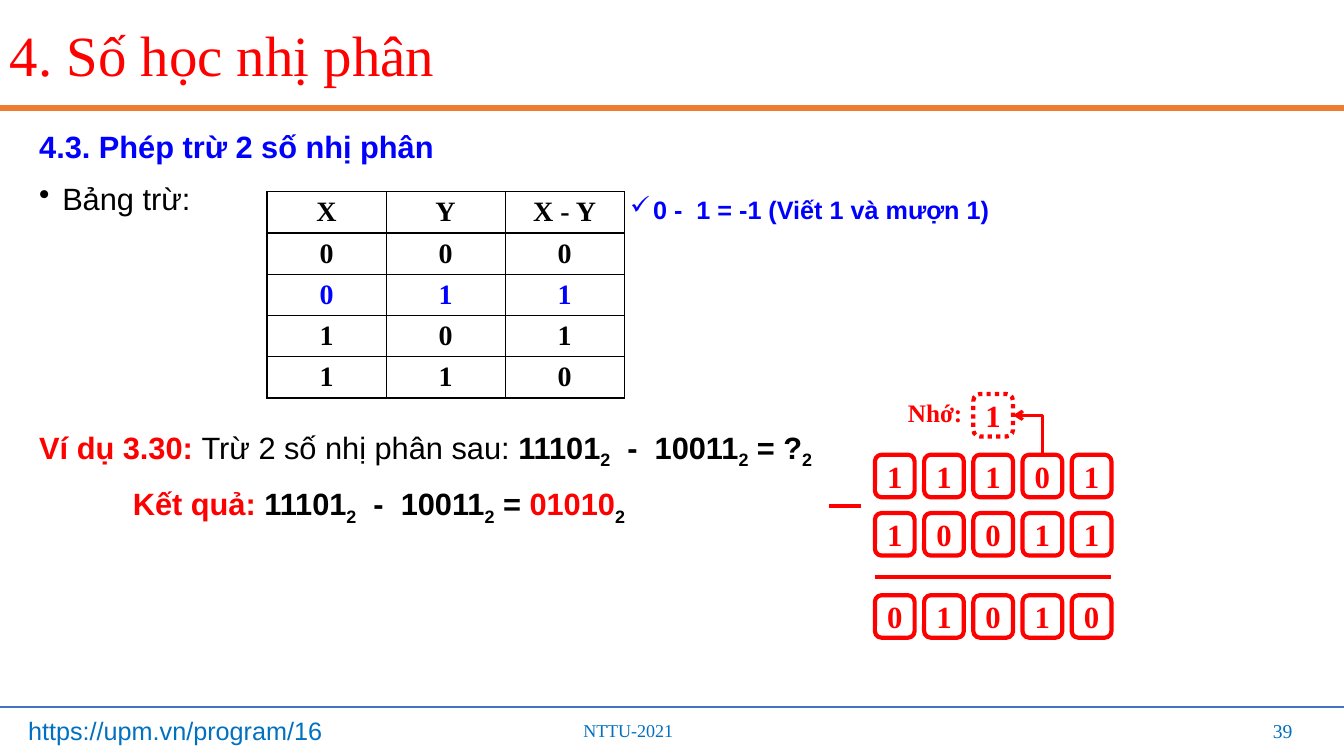
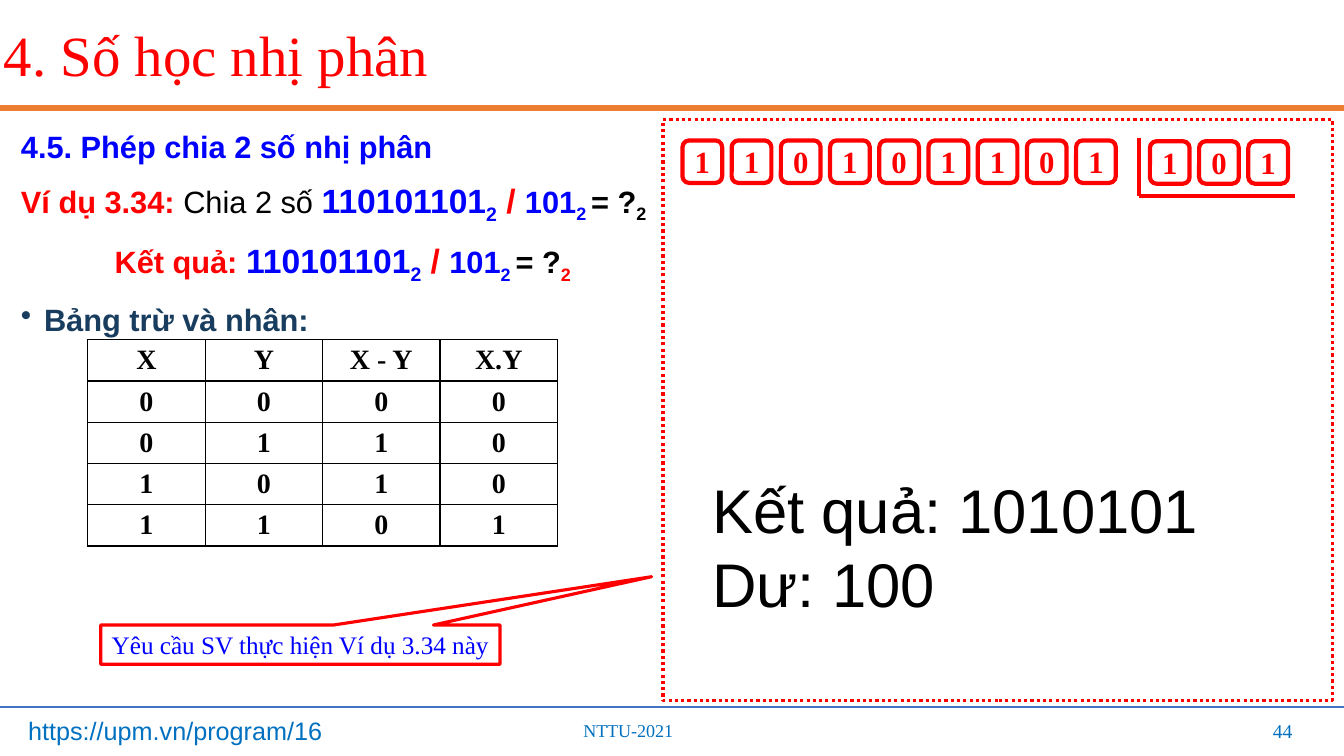
from dataclasses import dataclass

import pptx
import pptx.dml.color
import pptx.enum.dml
import pptx.enum.shapes
import pptx.enum.text
import pptx.oxml
import pptx.oxml.ns
import pptx.util
from lxml import etree

Cm = pptx.util.Cm
Pt = pptx.util.Pt
qn = pptx.oxml.ns.qn
ALIGN = pptx.enum.text.PP_ALIGN
ANCHOR = pptx.enum.text.MSO_ANCHOR
SHAPE = pptx.enum.shapes.MSO_SHAPE
CONNECTOR = pptx.enum.shapes.MSO_CONNECTOR
DOTTED = pptx.enum.dml.MSO_LINE.ROUND_DOT

RED, BLUE, BLACK = "FF0000", "0000FF", "000000"
NAVY, ORANGE, FOOTER_LINE, FOOTER_TEXT = "183D5E", "ED7D31", "4472C4", "0070C0"
SANS, SERIF = "Arial", "Times New Roman"
SLIDE_WIDTH, SLIDE_HEIGHT = 33.87, 19.05
DIGIT_WIDTH, DIGIT_HEIGHT, DIGIT_PITCH = 1.0, 1.07, 1.24
ROW_HEIGHT = 1.04


@dataclass
class Run:
    text: str
    color: str = BLACK
    size: float = 22
    bold: bool = True
    font: str = SANS
    subscript: bool = False


@dataclass
class Line:
    runs: list
    indent: float = 0
    bullet: str = ""
    align: ALIGN = ALIGN.LEFT


def rgb(color):
    return pptx.dml.color.RGBColor.from_string(color)


def lengths(*values):
    return [Cm(value) for value in values]


def sub(text, color=BLACK, size=22):
    return Run(text, color, size, subscript=True)


def fill_paragraph(paragraph, line):
    paragraph.alignment = line.align
    properties = paragraph._p.get_or_add_pPr()
    if line.indent:
        properties.set("marL", str(Cm(line.indent)))
    if line.bullet:
        properties.set("indent", str(-Cm(0.58)))
        etree.SubElement(properties, qn("a:buChar"), char=line.bullet)
    for item in line.runs:
        run = paragraph.add_run()
        run.text = item.text
        run.font.name = item.font
        run.font.size = Pt(item.size)
        run.font.bold = item.bold
        run.font.color.rgb = rgb(item.color)
        if item.subscript:
            run._r.get_or_add_rPr().set("baseline", "-25000")


def add_text(slide, box, lines, anchor=ANCHOR.TOP, wrap=True, space=0, spacing=None):
    frame = slide.shapes.add_textbox(*lengths(*box)).text_frame
    frame.word_wrap = wrap
    frame.vertical_anchor = anchor
    for index, line in enumerate(lines):
        paragraph = frame.add_paragraph() if index else frame.paragraphs[0]
        fill_paragraph(paragraph, line)
        if index and space:
            paragraph.space_before = Pt(space)
        if spacing:
            paragraph.line_spacing = spacing


def add_outline(slide, kind, box, run=None, width=3, dash=None):
    shape = slide.shapes.add_shape(kind, *lengths(*box))
    shape.shadow.inherit = False
    shape.fill.background()
    shape.line.color.rgb = rgb(RED)
    shape.line.width = Pt(width)
    if dash:
        shape.line.dash_style = dash
    if run:
        frame = shape.text_frame
        frame.margin_left = frame.margin_right = 0
        frame.margin_top = frame.margin_bottom = 0
        frame.vertical_anchor = ANCHOR.MIDDLE
        fill_paragraph(frame.paragraphs[0], Line([run], align=ALIGN.CENTER))
    return shape


def add_digits(slide, left, top, digits, dash=None):
    return [
        add_outline(
            slide,
            SHAPE.ROUNDED_RECTANGLE,
            (left + index * DIGIT_PITCH, top, DIGIT_WIDTH, DIGIT_HEIGHT),
            Run(digit, RED, font=SERIF),
            dash=dash,
        )
        for index, digit in enumerate(digits)
    ]


def add_line(slide, ends, color=RED, width=3, kind=CONNECTOR.STRAIGHT):
    connector = slide.shapes.add_connector(kind, *lengths(*ends))
    connector.line.color.rgb = rgb(color)
    connector.line.width = Pt(width)
    etree.SubElement(connector.element.spPr, qn("a:effectLst"))
    return connector


def add_borrow_arrow(slide, carry, digit):
    connector = add_line(slide, (0, 0, 1, 1), width=2.25, kind=CONNECTOR.ELBOW)
    connector.begin_connect(carry, 3)
    connector.end_connect(digit, 0)
    properties = connector.element.spPr
    properties.find(qn("a:prstGeom")).set("prst", "bentConnector2")
    etree.SubElement(properties.find(qn("a:ln")), qn("a:headEnd"), type="arrow")


def add_borders(cell):
    properties = cell._tc.get_or_add_tcPr()
    for side in ("lnL", "lnR", "lnT", "lnB"):
        border = etree.SubElement(properties, qn(f"a:{side}"), w=str(Pt(1)))
        fill = etree.SubElement(border, qn("a:solidFill"))
        etree.SubElement(fill, qn("a:srgbClr"), val=BLACK)


def add_truth_table(slide, left, top, column_width, rows, blue_row=None):
    columns = len(rows[0])
    box = (left, top, columns * column_width, len(rows) * ROW_HEIGHT)
    table = slide.shapes.add_table(len(rows), columns, *lengths(*box)).table
    table.first_row = table.horz_banding = False
    for column in table.columns:
        column.width = Cm(column_width)
    for row_index, values in enumerate(rows):
        table.rows[row_index].height = Cm(ROW_HEIGHT)
        color = BLUE if row_index == blue_row else BLACK
        for column_index, value in enumerate(values):
            cell = table.cell(row_index, column_index)
            cell.margin_top = cell.margin_bottom = 0
            cell.vertical_anchor = ANCHOR.MIDDLE
            add_borders(cell)
            cell.fill.background()
            run = Run(value, color, 20, font=SERIF)
            fill_paragraph(cell.text_frame.paragraphs[0], Line([run], align=ALIGN.CENTER))


def add_content_slide(presentation, number, title_left=0):
    slide = presentation.slides.add_slide(presentation.slide_layouts[6])
    add_line(slide, (0, 2.72, SLIDE_WIDTH, 2.72), ORANGE, 4.5)
    add_line(slide, (0, 17.81, SLIDE_WIDTH, 17.81), FOOTER_LINE, 1.5)
    add_text(slide, (14.45, 18.01, 4.52, 0.81),
             [Line([Run("NTTU-2021", FOOTER_TEXT, 12.9, False, SERIF)])])
    add_text(slide, (0.46, 17.91, 8.71, 1.02),
             [Line([Run("https://upm.vn/program/16", FOOTER_TEXT, 18, False)])])
    add_text(slide, (25.2, 17.91, 7.62, 1.02),
             [Line([Run(str(number), FOOTER_TEXT, 14, False, SERIF)], align=ALIGN.RIGHT)],
             ANCHOR.MIDDLE)
    add_text(slide, (title_left, 0.08, SLIDE_WIDTH - title_left, 2.79),
             [Line([Run("4. Số học nhị phân", RED, 40.6, False, SERIF)])],
             ANCHOR.MIDDLE, spacing=0.9)
    return slide


def difference_runs():
    return [Run("11101"), sub("2"), Run("  -  10011"), sub("2")]


def quotient_runs(last_color):
    return [
        Run("110101101", BLUE, 24), sub("2", BLUE, 24), Run(" / ", RED, 24),
        Run("101", BLUE), sub("2 ", BLUE), Run("= ?"), sub("2", last_color),
    ]


def build_subtraction(presentation):
    slide = add_content_slide(presentation, 39)
    add_text(slide, (0.74, 3.1, 15, 2.4), [
        Line([Run("4.3. Phép trừ 2 số nhị phân", BLUE)]),
        Line([Run("Bảng trừ:", bold=False)], 0.58, "•"),
    ], space=10.4)
    add_text(slide, (0.74, 10.67, 21, 2.8), [
        Line([Run("Ví dụ 3.30: ", RED), Run("Trừ 2 số nhị phân sau: ", bold=False)]
             + difference_runs() + [Run(" = ?"), sub("2")]),
        Line([Run("Kết quả: ", RED)] + difference_runs()
             + [Run(" = "), Run("01010", RED), sub("2")], 2.36),
    ], space=10.4)
    add_truth_table(slide, 6.73, 4.83, 3.0,
                    [("X", "Y", "X - Y"), "000", "011", "101", "110"], blue_row=2)
    add_text(slide, (14.94, 4.78, 17.3, 1.02),
             [Line([Run("0 -  1 = -1 (Viết 1 và mượn 1)", BLUE, 18)], 1.27, "✓")])

    left = 22.05
    minuend = add_digits(slide, left, 11.46, "11101")
    add_digits(slide, left, 12.93, "10011")
    add_digits(slide, left, 15.0, "01010")
    carry = add_digits(slide, left + 2 * DIGIT_PITCH, 9.93, "1", DOTTED)[0]
    add_borrow_arrow(slide, carry, minuend[3])
    add_text(slide, (22.63, 9.88, 1.9, 1.02),
             [Line([Run("Nhớ:", RED, 18, font=SERIF)])], wrap=False)
    add_line(slide, (20.9, 12.75, 21.7, 12.75))
    add_line(slide, (left, 14.53, 28, 14.53))


def build_division(presentation):
    slide = add_content_slide(presentation, 44, -0.15)
    add_text(slide, (0.28, 3.1, 17, 5.4), [
        Line([Run("4.5. Phép chia 2 số nhị phân", BLUE)]),
        Line([Run("Ví dụ 3.34: ", RED), Run("Chia 2 số ", bold=False)]
             + quotient_runs(BLACK)),
        Line([Run("Kết quả: ", RED)] + quotient_runs(RED), 2.36),
        Line([Run("Bảng trừ và nhân:", NAVY)], 0.58, "•"),
    ], space=10.4)
    add_truth_table(slide, 2.21, 8.56, 2.96,
                    [("X", "Y", "X - Y", "X.Y"), "0000", "0110", "1010", "1101"])

    add_digits(slide, 17.2, 3.54, "110101101")
    add_digits(slide, 28.98, 3.56, "101")
    add_line(slide, (28.7, 4.93, 32.64, 4.93))
    add_line(slide, (28.7, 4.93, 28.7, 3.48))
    add_outline(slide, SHAPE.RECTANGLE, (16.71, 3.02, 16.87, 14.63), width=2.25, dash=DOTTED)
    callout = add_outline(
        slide, SHAPE.RECTANGULAR_CALLOUT, (2.54, 15.75, 10.06, 0.99),
        Run("Yêu cầu SV thực hiện Ví dụ 3.34 này", BLUE, 18, False, SERIF), 2.25)
    callout.adjustments[0] = 0.88
    callout.adjustments[1] = -1.73
    add_text(slide, (17.7, 11.76, 15.72, 4.01), [
        Line([Run(text, size=44, bold=False)]) for text in ("Kết quả: 1010101", "Dư: 100")
    ])


def main():
    presentation = pptx.Presentation()
    presentation.slide_width = Cm(SLIDE_WIDTH)
    presentation.slide_height = Cm(SLIDE_HEIGHT)
    build_subtraction(presentation)
    build_division(presentation)
    presentation.save("out.pptx")


if __name__ == "__main__":
    main()
